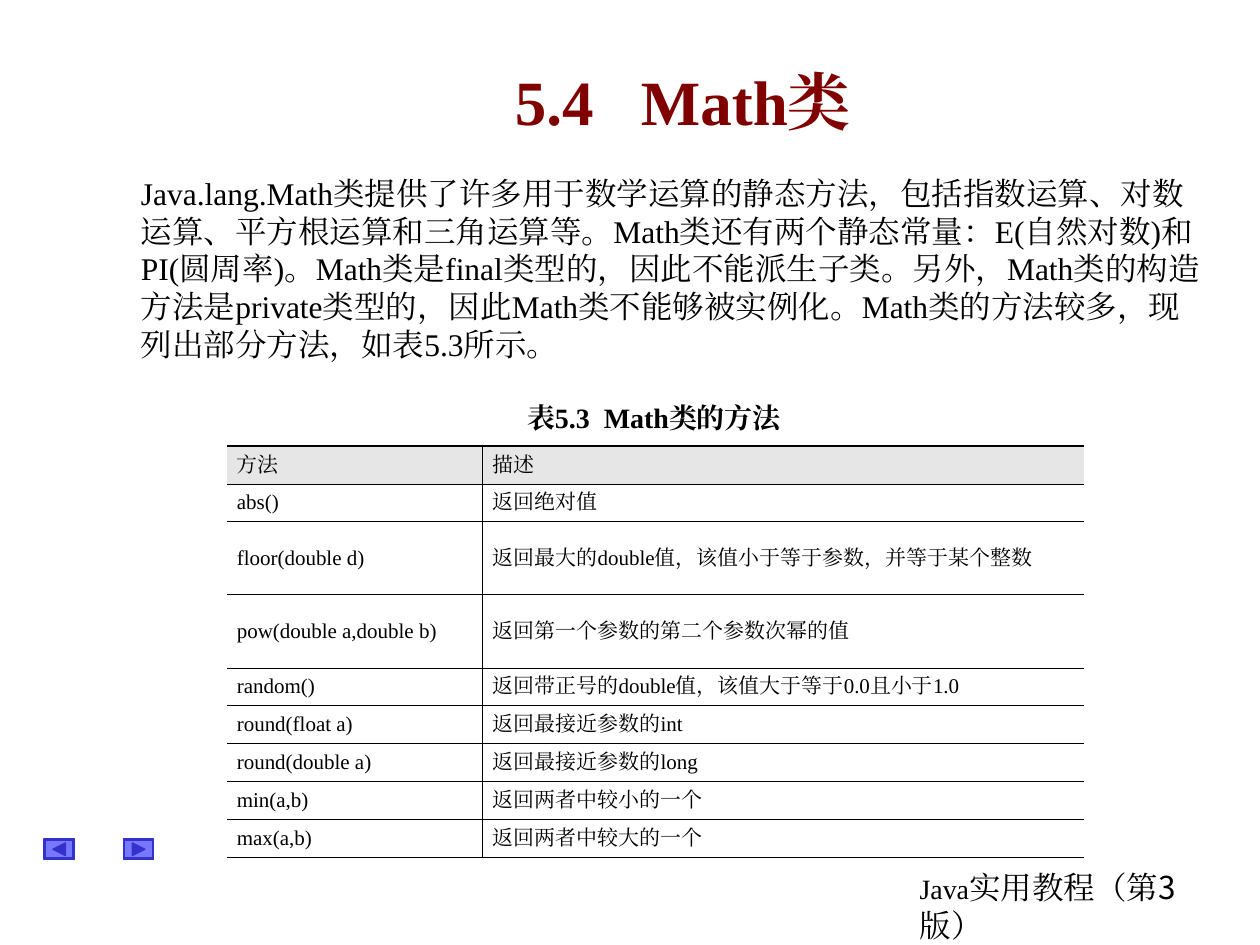
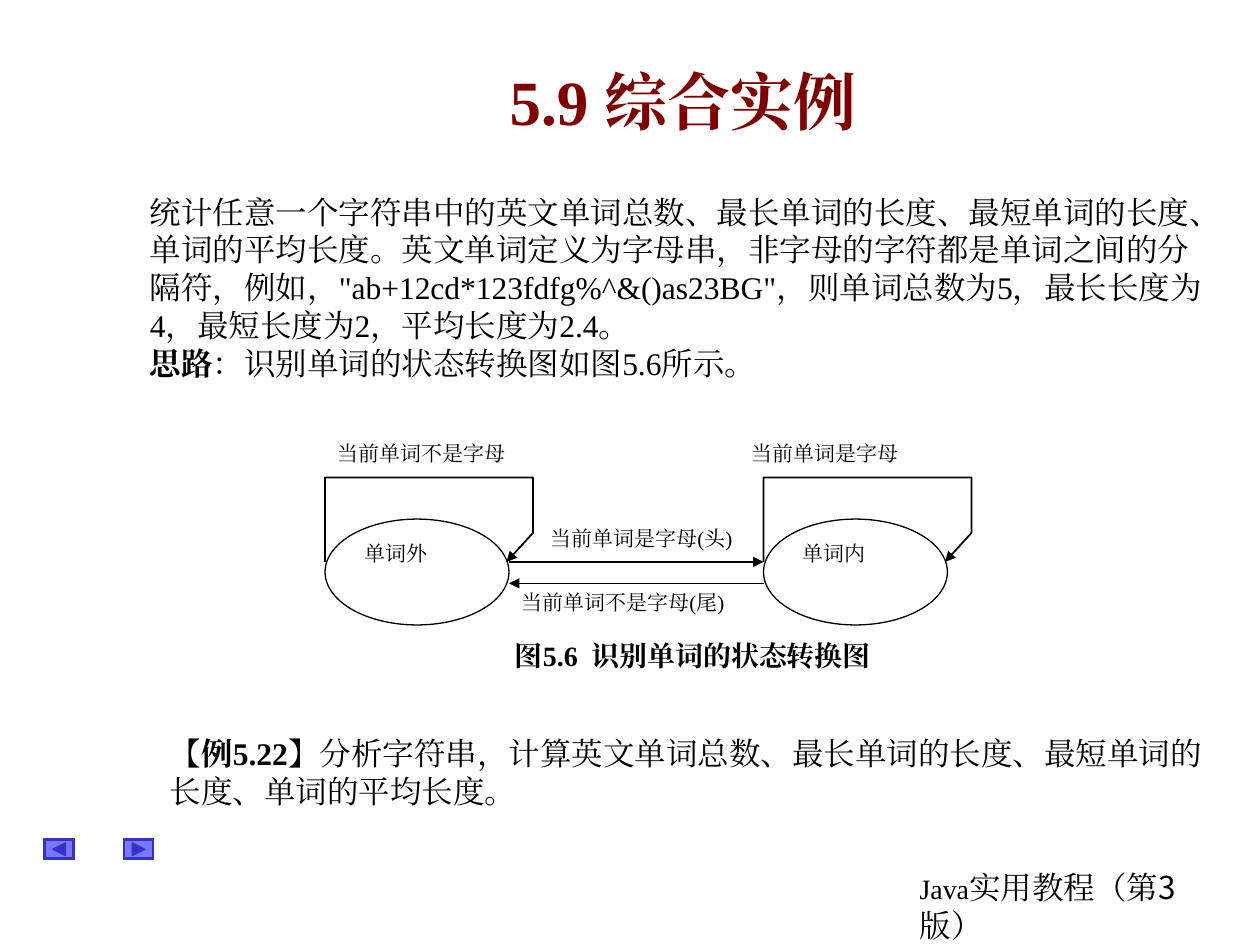
"""Builds two slides of a Java course: the Math class and a word-counting example."""
from lxml.etree import SubElement
from pptx import Presentation
from pptx.dml.color import RGBColor
from pptx.enum.shapes import MSO_CONNECTOR, MSO_SHAPE
from pptx.enum.text import MSO_ANCHOR, PP_ALIGN
from pptx.oxml.ns import qn
from pptx.util import Inches, Pt

COLORS = {"ink": "000000", "title": "800000", "head": "E6E6E6",
          "paper": "FFFFFF", "button": "0000FF", "rim": "3333CC"}
COLORS = {name: RGBColor.from_string(code) for name, code in COLORS.items()}
SERIF = "Times New Roman"
SANS = "Noto Sans CJK SC"


def write(frame, *paras, size=18, bold=False, color="ink",
          align=PP_ALIGN.LEFT, anchor=MSO_ANCHOR.TOP):
    """Fill a text frame; a paragraph is a string or a list of (text, changes)."""
    frame.word_wrap = True
    frame.vertical_anchor = anchor
    for i, para in enumerate(paras):
        line = frame.paragraphs[0] if i == 0 else frame.add_paragraph()
        line.alignment = align
        for text, change in [(para, {})] if isinstance(para, str) else para:
            run = line.add_run()
            run.text = text
            run.font.name = change.get("font", SERIF)
            run.font.size = Pt(change.get("size", size))
            run.font.bold = change.get("bold", bold)
            run.font.color.rgb = COLORS[color]
            SubElement(run.font._element, qn("a:ea"), typeface=SERIF)


def box(page, *place):
    """Add a text box and return its frame."""
    return page.shapes.add_textbox(*map(Inches, place)).text_frame


deck = Presentation()
deck.slide_width, deck.slide_height = Inches(10), Inches(7.5)

pages = []
for title in ("5.4 \tMath类", "5.9 综合实例"):
    page = deck.slides.add_slide(deck.slide_layouts[6])
    pages.append(page)
    write(box(page, 7.2, 6.84, 2.6, 0.7),
          [("Java", {"size": 16}), ("实用教程（第3版）", {"font": SANS})])
    for left, turn in ((0.98, 90), (0.35, -90)):
        button = page.shapes.add_shape(
            MSO_SHAPE.BEVEL, Inches(left), Inches(6.66), Inches(0.24), Inches(0.16))
        button.adjustments[0] = 0.06
        arrow = page.shapes.add_shape(
            MSO_SHAPE.ISOSCELES_TRIANGLE, Inches(left + 0.07), Inches(6.69),
            Inches(0.1), Inches(0.1))
        arrow.rotation = turn
        for part, tone in ((button, "button"), (arrow, "rim")):
            part.shadow.inherit = False
            part.fill.solid()
            part.fill.fore_color.rgb = COLORS[tone]
            part.line.color.rgb = COLORS["rim"]
            part.line.width = Pt(0.75)
        tint = button._element.spPr.find(qn("a:solidFill"))[0]
        SubElement(tint, qn("a:alpha"), val="53000")
    write(box(page, 1.17, 0.42, 8.5, 0.75), title, size=36, bold=True,
          color="title", align=PP_ALIGN.CENTER, anchor=MSO_ANCHOR.MIDDLE)

math, words = pages

write(box(math, 1.02, 1.33, 8.67, 1.9),
      "Java.lang.Math类提供了许多用于数学运算的静态方法，包括指数运算、对数运算、"
      "平方根运算和三角运算等。Math类还有两个静态常量：E(自然对数)和PI(圆周率)。"
      "Math类是final类型的，因此不能派生子类。另外，Math类的构造方法是private类型的，"
      "因此Math类不能够被实例化。Math类的方法较多，现列出部分方法，如表5.3所示。")
write(box(math, 3.69, 3.13, 3, 0.37), "表5.3  Math类的方法", size=16, bold=True,
      align=PP_ALIGN.CENTER, anchor=MSO_ANCHOR.MIDDLE)

rows = [
    ("方法", "描述"),
    ("abs()", "返回绝对值"),
    ("floor(double d)", "返回最大的double值，该值小于等于参数，并等于某个整数"),
    ("pow(double a,double b)", "返回第一个参数的第二个参数次幂的值"),
    ("random()", "返回带正号的double值，该值大于等于0.0且小于1.0"),
    ("round(float a)", "返回最接近参数的int"),
    ("round(double a)", "返回最接近参数的long"),
    ("min(a,b)", "返回两者中较小的一个"),
    ("max(a,b)", "返回两者中较大的一个"),
]
table = math.shapes.add_table(len(rows), 2, Inches(1.8), Inches(3.54),
                              Inches(6.8), Inches(3.18)).table
table.first_row = table.horz_banding = False
for col, width in zip(table.columns, (2.03, 4.77)):
    col.width = Inches(width)
for r, row in enumerate(rows):
    table.rows[r].height = Inches(0.58 if r in (2, 3) else 0.29)
    for c, text in enumerate(row):
        cell = table.cell(r, c)
        cell.margin_left = cell.margin_right = Inches(0.08)
        cell.margin_top = cell.margin_bottom = Inches(0.05)
        write(cell.text_frame, text, size=12)
        cell.vertical_anchor = MSO_ANCHOR.MIDDLE
        widths = {"L": 0.45 * c, "R": 0.45 * (1 - c),
                  "T": 0.75 if r == 0 else 0.45,
                  "B": 0.75 if r == len(rows) - 1 else 0.45}
        for side, width in widths.items():
            edge = SubElement(cell._tc.get_or_add_tcPr(), qn("a:ln" + side),
                              w=str(Pt(width)))
            if width:
                ink = SubElement(edge, qn("a:solidFill"))
                SubElement(ink, qn("a:srgbClr"), val=str(COLORS["ink"]))
            else:
                SubElement(edge, qn("a:noFill"))
        if r == 0:
            cell.fill.solid()
            cell.fill.fore_color.rgb = COLORS["head"]
        else:
            cell.fill.background()

write(box(words, 1.09, 1.48, 8.59, 1.9),
      "统计任意一个字符串中的英文单词总数、最长单词的长度、最短单词的长度、"
      "单词的平均长度。英文单词定义为字母串，非字母的字符都是单词之间的分隔符，"
      "例如，\"ab+12cd*123fdfg%^&()as23BG\"，则单词总数为5，最长长度为4，"
      "最短长度为2，平均长度为2.4。",
      [("思路", {"bold": True}), ("：识别单词的状态转换图如图5.6所示。", {})])

arrows = []
for left, state in ((2.58, "单词外"), (6.06, "单词内")):
    oval = words.shapes.add_shape(MSO_SHAPE.OVAL, Inches(left), Inches(4.12),
                                  Inches(1.46), Inches(0.84))
    oval.shadow.inherit = False
    oval.fill.solid()
    oval.fill.fore_color.rgb = COLORS["paper"]
    oval.line.color.rgb = COLORS["ink"]
    oval.line.width = Pt(0.75)
    write(oval.text_frame, state, size=12)
    pen = words.shapes.build_freeform(Inches(left), Inches(4.46))
    bends = ((0, 3.79), (1.65, 3.79), (1.65, 4.23), (1.44, 4.46))
    pen.add_line_segments([(Inches(left + x), Inches(y)) for x, y in bends], close=False)
    loop = pen.convert_to_shape()
    loop.shadow.inherit = False
    loop.fill.background()
    arrows.append((loop, 1))

for x1, x2, y in ((2.58, 2.58, 4.12), (4.04, 6.06, 4.46), (6.06, 4.04, 4.63)):
    link = words.shapes.add_connector(MSO_CONNECTOR.STRAIGHT, Inches(x1), Inches(y),
                                      Inches(x2), Inches(y))
    arrows.append((link, 0.75))
for arrow, width in arrows:
    arrow.line.color.rgb = COLORS["ink"]
    arrow.line.width = Pt(width)
    SubElement(arrow.line._get_or_add_ln(), qn("a:tailEnd"), type="triangle")
    if arrow._element.spPr.find(qn("a:effectLst")) is None:
        SubElement(arrow._element.spPr, qn("a:effectLst"))

for left, top, label in ((2.58, 3.45, "当前单词不是字母"), (5.87, 3.45, "当前单词是字母"),
                         (4.27, 4.12, "当前单词是字母(头)"), (4.04, 4.63, "当前单词不是字母(尾)")):
    write(box(words, left, top, 2.2, 0.5), label, size=12)
write(box(words, 3.58, 5.02, 3.84, 0.37), "图5.6  识别单词的状态转换图",
      size=16, bold=True, align=PP_ALIGN.CENTER)
write(box(words, 1.25, 5.78, 8.52, 1),
      [("【", {}), ("例5.22", {"bold": True}),
       ("】分析字符串，计算英文单词总数、最长单词的长度、最短单词的长度、单词的平均长度。", {})])

deck.save("out.pptx")
